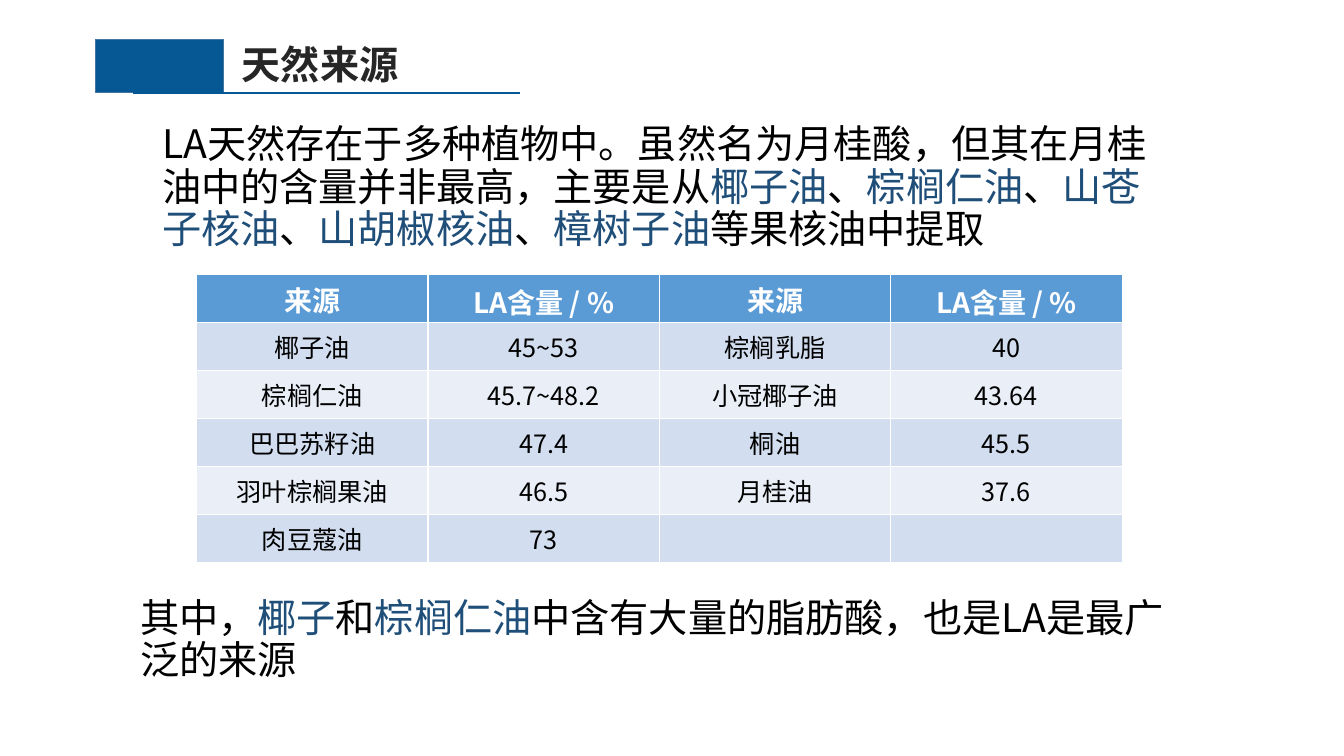
import pptx
import pptx.util
import pptx.dml.color
import pptx.enum.shapes
import pptx.enum.text
import lxml.etree

RGB = pptx.dml.color.RGBColor
NAVY = RGB(0x05, 0x58, 0x93)
EDGE = RGB(0x43, 0x73, 0x9E)
INK = RGB(0x26, 0x26, 0x26)
BLACK = RGB(0, 0, 0)
WHITE = RGB(255, 255, 255)
TERM = RGB(0x1F, 0x4E, 0x79)
HEAD = RGB(0x5B, 0x9B, 0xD5)
BANDS = [RGB(0xEA, 0xEF, 0xF7), RGB(0xD2, 0xDE, 0xEF)]
FACE = "Noto Sans CJK SC"
PX = 9144  # 100 px to the inch
Pt = pptx.util.Pt
MID = pptx.enum.text.MSO_ANCHOR.MIDDLE
CENTER = pptx.enum.text.PP_ALIGN.CENTER


def style(para, size, color, bold=False):
    font = para.font
    font.size, font.bold, font.name = Pt(size), bold, FACE
    font.color.rgb = color
    node = para._p.pPr.find(pptx.oxml.ns.qn("a:defRPr"))
    east = lxml.etree.SubElement(node, pptx.oxml.ns.qn("a:ea"))
    east.set("typeface", FACE)


def write(box, parts, size, color, bold=False):
    left, top, width, height = [n * PX for n in box]
    frame = slide.shapes.add_textbox(left, top, width, height).text_frame
    frame.word_wrap = True
    para = frame.paragraphs[0]
    # Every second part is a highlighted term
    for i, part in enumerate(parts):
        run = para.add_run()
        run.text = part
        if i % 2:
            run.font.color.rgb = TERM
    style(para, size, color, bold)
    return para


deck = pptx.Presentation()
deck.slide_width, deck.slide_height = 1333 * PX, 750 * PX
slide = deck.slides.add_slide(deck.slide_layouts[6])

# Title with its block and rule
write((230, 35, 340, 57), ["天然来源"], 28, INK, True)
block = slide.shapes.add_shape(
    pptx.enum.shapes.MSO_SHAPE.RECTANGLE, 95 * PX, 39 * PX, 127 * PX, 53 * PX)
block.shadow.inherit = False
block.fill.solid()
block.fill.fore_color.rgb = NAVY
block.line.color.rgb = EDGE
block.line.width = Pt(1)
rule = slide.shapes.add_connector(
    pptx.enum.shapes.MSO_CONNECTOR.STRAIGHT, 132 * PX, 92 * PX, 516 * PX, 92 * PX)
rule.line.color.rgb = NAVY
rule.line.width = Pt(1.5)
lxml.etree.SubElement(rule._element.spPr, pptx.oxml.ns.qn("a:effectLst"))

# Text above and below the table
intro = ["LA天然存在于多种植物中。虽然名为月桂酸，但其在月桂油中的含量并非最高，主要是从",
         "椰子油", "、", "棕榈仁油", "、", "山苍子核油", "、", "山胡椒核油", "、",
         "樟树子油", "等果核油中提取"]
close = ["其中，", "椰子", "和", "棕榈仁油", "中含有大量的脂肪酸，也是LA是最广泛的来源"]
for box, parts in [((151, 119, 1007, 153), intro), ((129, 589, 1049, 153), close)]:
    write(box, parts, 28, BLACK).line_spacing = 0.9

# Table of sources
rows = [
    ["来源", "LA含量 / %", "来源", "LA含量 / %"],
    ["椰子油", "45~53", "棕榈乳脂", "40"],
    ["棕榈仁油", "45.7~48.2", "小冠椰子油", "43.64"],
    ["巴巴苏籽油", "47.4", "桐油", "45.5"],
    ["羽叶棕榈果油", "46.5", "月桂油", "37.6"],
    ["肉豆蔻油", "73", "", ""],
]
table = slide.shapes.add_table(
    len(rows), 4, 195 * PX, 272 * PX, 918 * PX, 286 * PX).table
for r, row in enumerate(rows):
    for c, text in enumerate(row):
        cell = table.cell(r, c)
        cell.text = text
        cell.vertical_anchor = MID
        cell.fill.solid()
        cell.fill.fore_color.rgb = BANDS[r % 2] if r else HEAD
        para = cell.text_frame.paragraphs[0]
        para.alignment = CENTER
        if r == 0 and c % 2:
            para.line_spacing, para.space_after = 1.15, Pt(8)
            cell.margin_left = cell.margin_right = 7 * PX
            cell.margin_top = cell.margin_bottom = 0
        style(para, 18 if r else 20, BLACK if r else WHITE, r == 0)

deck.save("out.pptx")
